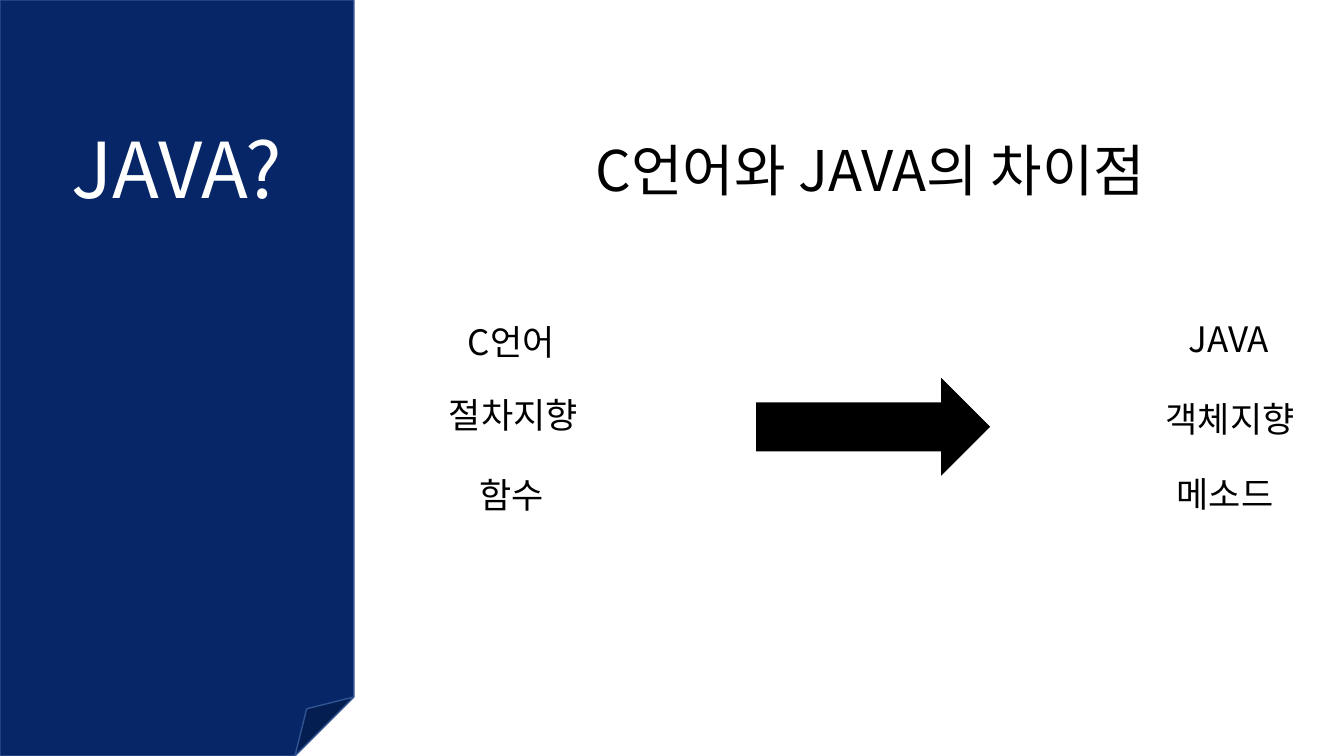
from lxml import etree
from pptx import Presentation
from pptx.dml.color import RGBColor
from pptx.enum.shapes import MSO_SHAPE
from pptx.enum.text import MSO_ANCHOR, MSO_AUTO_SIZE, PP_ALIGN
from pptx.oxml.ns import qn
from pptx.util import Inches, Pt

CENTER = PP_ALIGN.CENTER
TOP = MSO_ANCHOR.TOP
GROW = MSO_AUTO_SIZE.SHAPE_TO_FIT_TEXT
FOLDED_CORNER = MSO_SHAPE.FOLDED_CORNER
RIGHT_ARROW = MSO_SHAPE.RIGHT_ARROW

FONT = "Noto Sans CJK KR"
COLORS = {"navy": "062667", "edge": "325491", "white": "FFFFFF", "black": "000000"}
WIDTH, HEIGHT = 13.33, 7.5
SIDEBAR_WIDTH = 3.51
TERM_WIDTH, TERM_HEIGHT = 1.52, 0.52


def color(name):
    return RGBColor.from_string(COLORS[name])


def place(shape, box):
    shape.left, shape.top, shape.width, shape.height = map(Inches, box)


def write(holder, text, size, ink):
    frame = holder.text_frame
    frame.word_wrap = True
    frame.auto_size = GROW
    frame.vertical_anchor = TOP
    paragraph = frame.paragraphs[0]
    paragraph.alignment = CENTER
    run = paragraph.add_run()
    run.text = text
    run.font.size = Pt(size)
    run.font.name = FONT
    run.font.color.rgb = color(ink)
    east_asian = etree.SubElement(run.font._element, qn("a:ea"))
    east_asian.set("typeface", FONT)


def add_label(slide, box, text, size, ink="black"):
    label = slide.shapes.add_textbox(*map(Inches, box))
    write(label, text, size, ink)


def add_block(slide, preset, box, fill):
    block = slide.shapes.add_shape(preset, *map(Inches, box))
    block.shadow.inherit = False
    block.fill.solid()
    block.fill.fore_color.rgb = color(fill)
    block.line.fill.background()
    return block


def add_sidebar(slide, box):
    left, top, width, _ = box
    ribbon = add_block(slide, FOLDED_CORNER, box, "navy")
    ribbon.line.color.rgb = color("edge")
    ribbon.line.width = Pt(1)
    add_label(slide, (left, top + 1.16, width, 1.03), "JAVA?", 55, "white")


def add_heading(slide, box):
    place(slide.shapes.title, box)
    write(slide.shapes.title, "C언어와 JAVA의 차이점", 40, "black")


def add_terms(slide, box, terms):
    """Stack terms, each given as (text, shift right, shift down) in the box."""
    left, top = box[:2]
    for text, right, down in terms:
        add_label(slide, (left + right, top + down, TERM_WIDTH, TERM_HEIGHT), text, 25)


def add_comparison(slide, box):
    left, top, width, height = box
    c_terms = [("C언어", 0, 0.03), ("절차지향", 0.02, 0.75), ("함수", 0, 1.55)]
    java_terms = [("JAVA", 0.04, 0), ("객체지향", 0.05, 0.79), ("메소드", 0, 1.54)]
    java_left = left + width - TERM_WIDTH - 0.05
    add_terms(slide, (left, top, TERM_WIDTH, height), c_terms)
    add_terms(slide, (java_left, top, TERM_WIDTH, height), java_terms)
    add_block(slide, RIGHT_ARROW, (left + 3.19, top + 0.65, 2.32, 0.97), "black")


def main():
    deck = Presentation()
    deck.slide_width, deck.slide_height = Inches(WIDTH), Inches(HEIGHT)
    slide = deck.slides.add_slide(deck.slide_layouts[5])
    add_sidebar(slide, (0, 0, SIDEBAR_WIDTH, HEIGHT))
    content_left, content_width = SIDEBAR_WIDTH + 0.8, 8.65
    add_heading(slide, (content_left, 1.29, content_width, 0.77))
    add_comparison(slide, (content_left, 3.1, content_width, 2.07))
    deck.save("out.pptx")


if __name__ == "__main__":
    main()
